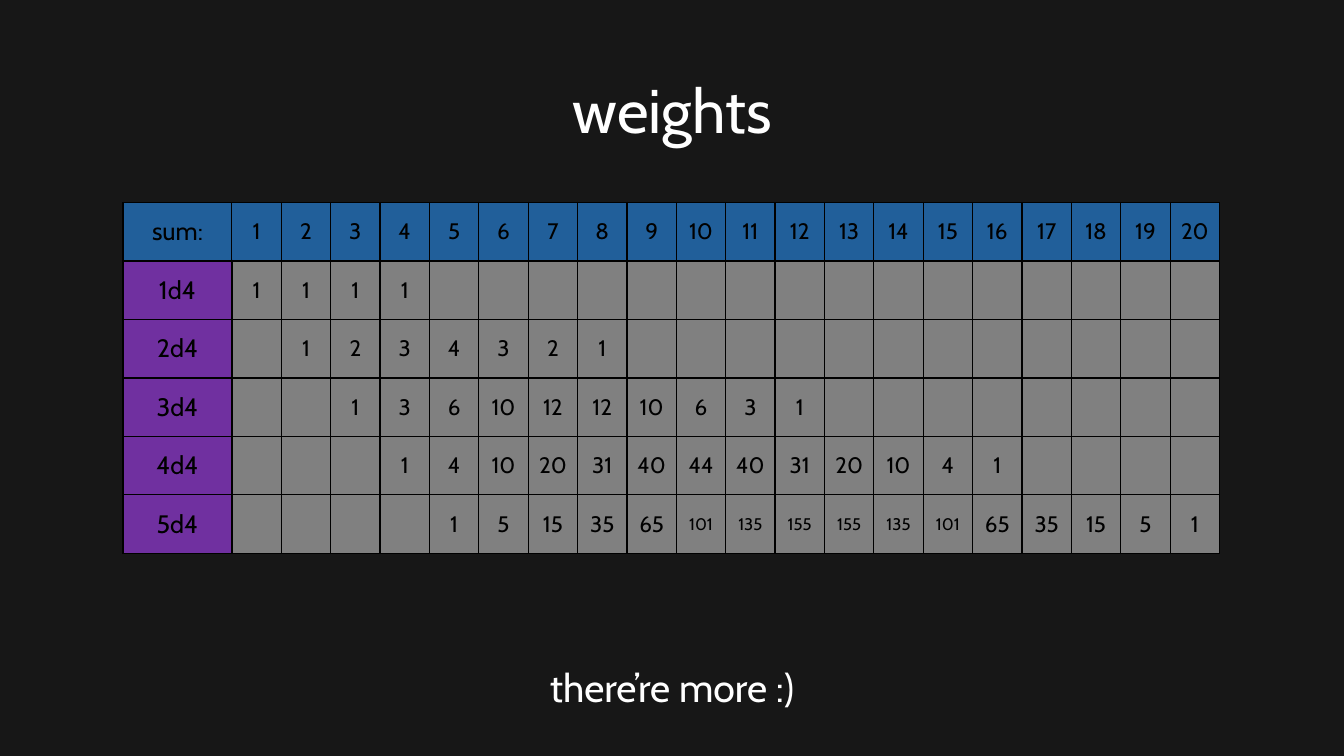
from dataclasses import dataclass

from lxml import etree
from pptx import Presentation
from pptx.dml.color import RGBColor
from pptx.enum.text import MSO_ANCHOR, PP_ALIGN
from pptx.oxml.ns import qn
from pptx.slide import Slide
from pptx.table import _Cell
from pptx.text.text import TextFrame
from pptx.util import Inches, Pt

CENTER = PP_ALIGN.CENTER
MIDDLE = MSO_ANCHOR.MIDDLE

BACKGROUND = RGBColor(0x17, 0x17, 0x17)
WHITE = RGBColor(0xFF, 0xFF, 0xFF)
BLACK = RGBColor(0x00, 0x00, 0x00)
BLUE = RGBColor(0x21, 0x5F, 0x9A)
PURPLE = RGBColor(0x70, 0x30, 0xA0)
GRAY = RGBColor(0x80, 0x80, 0x80)

FONT = "Cabin"
SIDES = 4
MAX_DICE = 5
MAX_SUM = SIDES * MAX_DICE
LABEL_WIDTH, SUM_WIDTH, ROW_HEIGHT = 1.08, 0.49, 0.58
THIN, THICK = 1, 2.25


@dataclass
class Caption:
    text: str
    left: float
    top: float
    width: float
    height: float
    size: int
    line_spacing: float = 1.0


CAPTIONS = [
    Caption("weights", 0.92, 0.4, 11.5, 1.45, 44, 0.9),
    Caption("there’re more :)", 1.53, 6.53, 10.27, 0.57, 28),
]


def write_text(frame: TextFrame, text: str, *, size: float, color: RGBColor,
               line_spacing: float = 1.0) -> None:
    paragraph = frame.paragraphs[0]
    paragraph.alignment = CENTER
    paragraph.line_spacing = line_spacing
    run = paragraph.add_run()
    run.text = text
    run.font.name = FONT
    run.font.size = Pt(size)
    run.font.color.rgb = color


def add_caption(slide: Slide, caption: Caption) -> None:
    shape = slide.shapes.add_textbox(Inches(caption.left), Inches(caption.top),
                                     Inches(caption.width), Inches(caption.height))
    frame = shape.text_frame
    frame.word_wrap = True
    frame.vertical_anchor = MIDDLE
    write_text(frame, caption.text, size=caption.size, color=WHITE,
               line_spacing=caption.line_spacing)


def dice_weights(dice: int) -> dict[int, int]:
    """Count the ways to roll each sum with the given number of dice."""
    weights = {0: 1}
    for _ in range(dice):
        rolled: dict[int, int] = {}
        for total, ways in weights.items():
            for face in range(1, SIDES + 1):
                rolled[total + face] = rolled.get(total + face, 0) + ways
        weights = rolled
    return weights


def set_borders(cell: _Cell, row: int, column: int) -> None:
    widths = {
        "a:lnL": THICK if row > 0 and column == 1 else THIN,
        "a:lnR": THICK if row > 0 and column == 0 else THIN,
        "a:lnT": THICK if row == 1 else THIN,
        "a:lnB": THICK if row == 0 else THIN,
    }
    properties = cell._tc.get_or_add_tcPr()
    for tag, width in widths.items():
        line = etree.SubElement(properties, qn(tag), w=str(Pt(width)))
        fill = etree.SubElement(line, qn("a:solidFill"))
        etree.SubElement(fill, qn("a:srgbClr"), val=str(BLACK))


def text_size(text: str, column: int) -> int:
    if column == 0:
        return 18
    return 12 if len(text) > 2 else 16


def fill_color(row: int, column: int) -> RGBColor:
    if row == 0:
        return BLUE
    return PURPLE if column == 0 else GRAY


def add_weights_table(slide: Slide) -> None:
    sums = range(1, MAX_SUM + 1)
    rows = [["sum:"] + [str(total) for total in sums]]
    for dice in range(1, MAX_DICE + 1):
        weights = dice_weights(dice)
        rows.append([f"{dice}d{SIDES}"] + [str(weights.get(total, "")) for total in sums])

    table = slide.shapes.add_table(
        len(rows), len(rows[0]), Inches(1.22), Inches(2.01),
        Inches(LABEL_WIDTH + MAX_SUM * SUM_WIDTH), Inches(len(rows) * ROW_HEIGHT)).table
    for index, table_column in enumerate(table.columns):
        table_column.width = Inches(SUM_WIDTH if index else LABEL_WIDTH)
    for table_row in table.rows:
        table_row.height = Inches(ROW_HEIGHT)

    for row, texts in enumerate(rows):
        for column, text in enumerate(texts):
            cell = table.cell(row, column)
            cell.vertical_anchor = MIDDLE
            cell.margin_left = cell.margin_right = Inches(0.05)
            set_borders(cell, row, column)
            cell.fill.solid()
            cell.fill.fore_color.rgb = fill_color(row, column)
            if text:
                write_text(cell.text_frame, text, size=text_size(text, column), color=BLACK)


def main() -> None:
    presentation = Presentation()
    presentation.slide_width = Inches(13.33)
    presentation.slide_height = Inches(7.5)
    slide = presentation.slides.add_slide(presentation.slide_layouts[6])

    # Background
    slide.background.fill.solid()
    slide.background.fill.fore_color.rgb = BACKGROUND

    # Title, table of weights and closing line
    title, closing = CAPTIONS
    add_caption(slide, title)
    add_weights_table(slide)
    add_caption(slide, closing)

    presentation.save("out.pptx")


if __name__ == "__main__":
    main()
